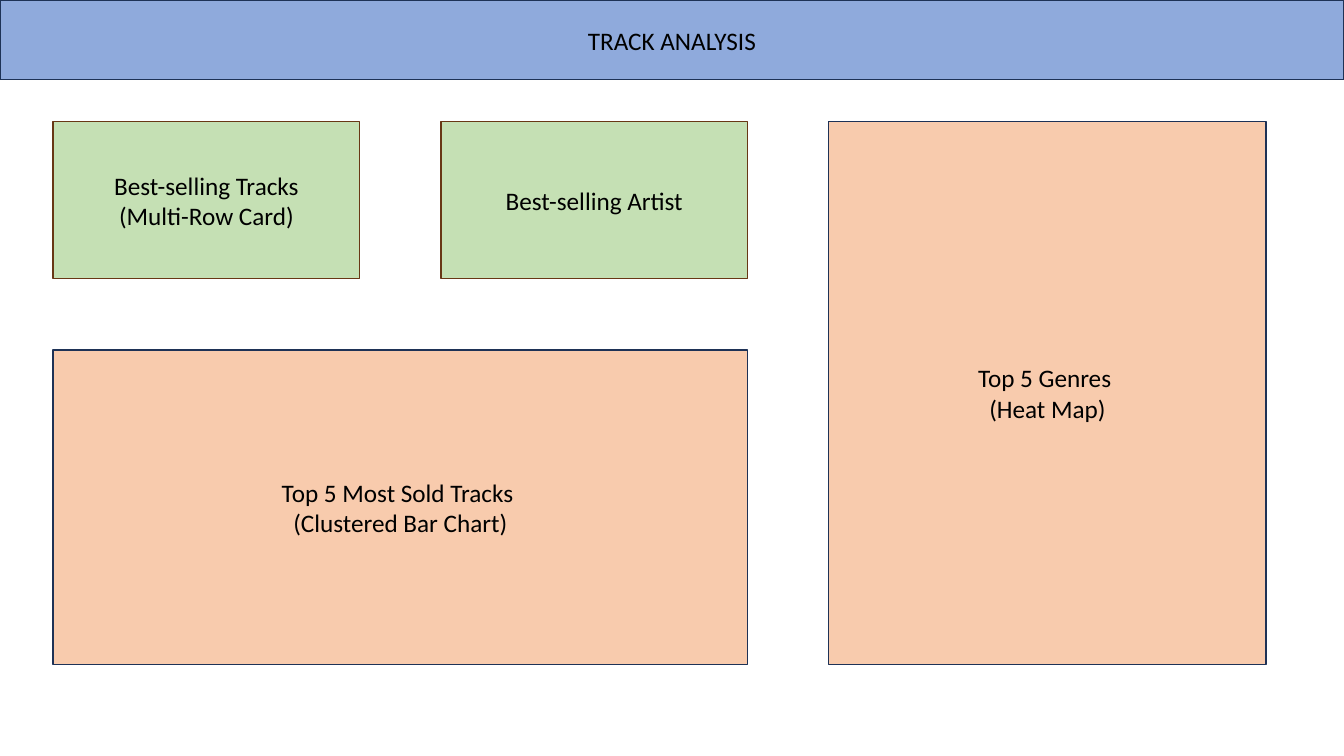
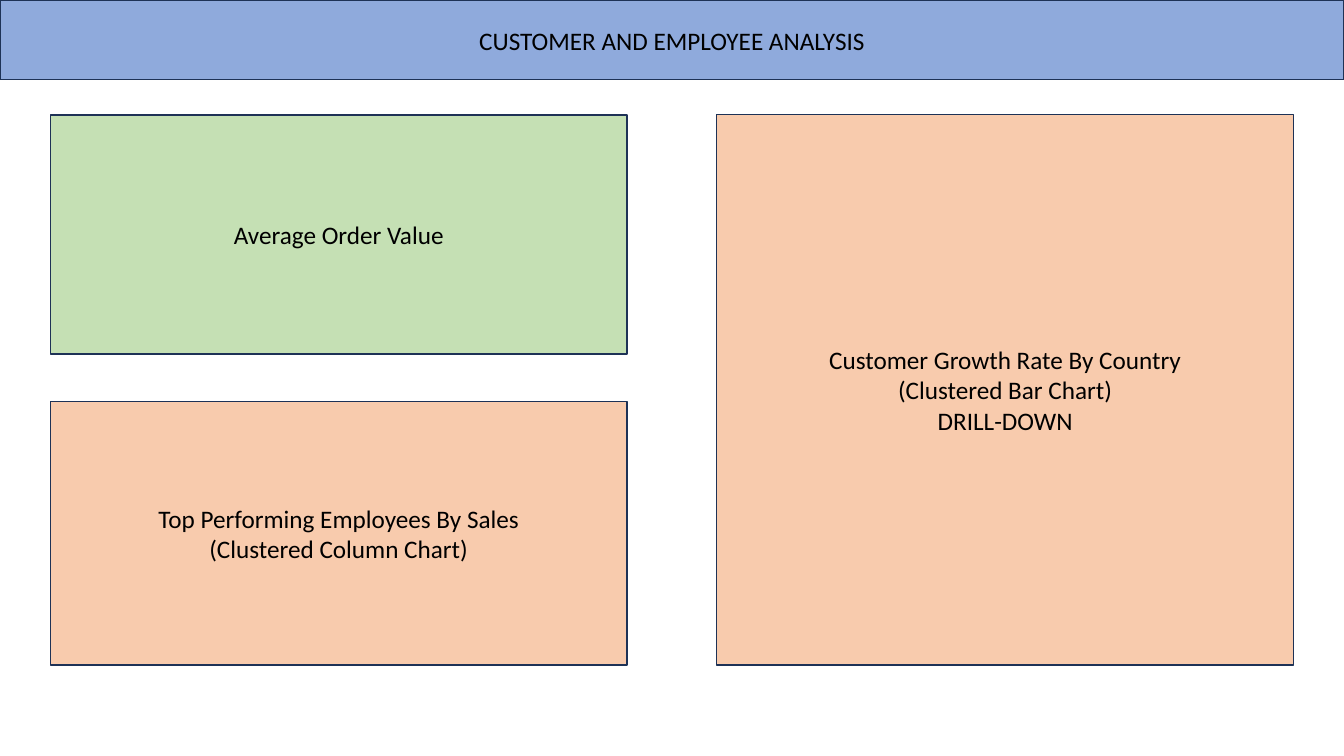
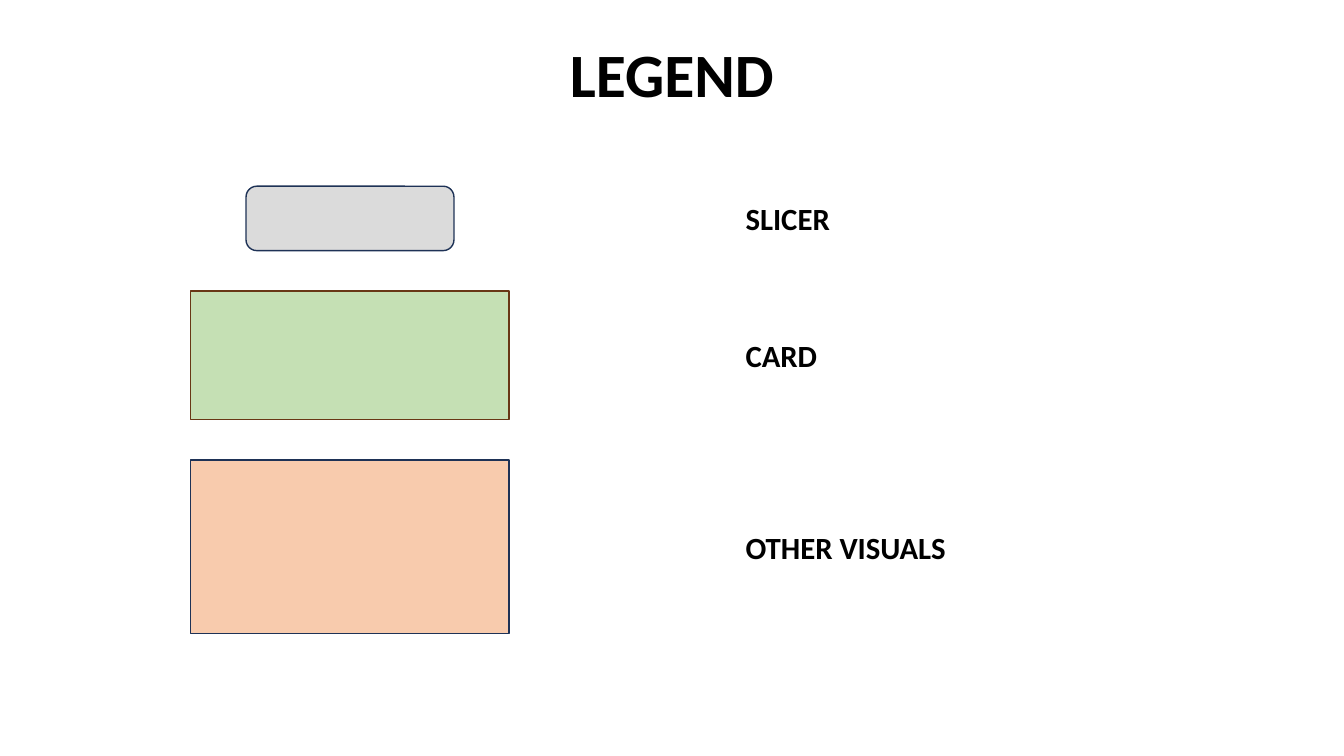
import pptx
import pptx.dml.color
import pptx.enum.shapes
import pptx.enum.text
import pptx.util

Pt = pptx.util.Pt
Shapes = pptx.enum.shapes.MSO_SHAPE
Align = pptx.enum.text.PP_ALIGN
Anchor = pptx.enum.text.MSO_ANCHOR

WIDTH, HEIGHT = 960, 540
FONT = "Calibri"
BLACK, NAVY, BROWN = "000000", "1E3256", "683715"
BAND, CARD, VISUAL, SLICER = "8FAADC", "C5E0B4", "F8CBAD", "DBDBDB"


def color(value):
    """Turn a hex string into a colour."""
    return pptx.dml.color.RGBColor.from_string(value)


class Deck:
    """Holds the presentation, its style and the current slide."""

    def __init__(self):
        """Start an empty widescreen presentation."""
        self.presentation = pptx.Presentation()
        self.presentation.slide_width = Pt(WIDTH)
        self.presentation.slide_height = Pt(HEIGHT)
        self.slide = None

    def add_slide(self):
        """Add a blank slide and make it current."""
        self.slide = self.presentation.slides.add_slide(self.presentation.slide_layouts[6])

    def fill_text(self, frame, lines, size, bold=False, align=Align.CENTER):
        """Set one paragraph per line, centred vertically."""
        frame.word_wrap = True
        frame.vertical_anchor = Anchor.MIDDLE
        for index, line in enumerate(lines):
            paragraph = frame.add_paragraph() if index else frame.paragraphs[0]
            paragraph.text = line
            paragraph.alignment = align
            paragraph.font.name = FONT
            paragraph.font.size = Pt(size)
            paragraph.font.bold = bold
            paragraph.font.color.rgb = color(BLACK)

    def box(self, left, top, width, height, fill, lines=(), outline=NAVY, kind=Shapes.RECTANGLE):
        """Draw a filled, outlined box with optional text."""
        shape = self.slide.shapes.add_shape(kind, Pt(left), Pt(top), Pt(width), Pt(height))
        shape.shadow.inherit = False
        shape.fill.solid()
        shape.fill.fore_color.rgb = color(fill)
        shape.line.color.rgb = color(outline)
        shape.line.width = Pt(1)
        self.fill_text(shape.text_frame, lines, 18)

    def band(self, title):
        """Draw the title band across the top."""
        self.box(0, 0, WIDTH, 57, BAND, [title])

    def text(self, left, top, width, height, words, size, align=Align.LEFT):
        """Place a bold line of text."""
        shape = self.slide.shapes.add_textbox(Pt(left), Pt(top), Pt(width), Pt(height))
        self.fill_text(shape.text_frame, [words], size, True, align)


def track_slide(deck):
    """Build the track dashboard."""
    deck.add_slide()
    deck.band("TRACK ANALYSIS")
    left, top, bottom = 38, 87, 474.5
    card_width, card_height, gap = 219, 112, 58
    chart_top = 250
    chart_width = 2 * card_width + gap
    deck.box(left, chart_top, chart_width, bottom - chart_top, VISUAL,
             ["Top 5 Most Sold Tracks ", "(Clustered Bar Chart)"])
    cards = [["Best-selling Tracks", "(Multi-Row Card)"], ["Best-selling Artist"]]
    for index, lines in enumerate(cards):
        deck.box(left + index * (card_width + gap), top, card_width, card_height, CARD, lines, BROWN)
    deck.box(left + chart_width + gap, top, 312.5, bottom - top, VISUAL,
             ["Top 5 Genres ", "(Heat Map)"])


def customer_slide(deck):
    """Build the customer and employee dashboard."""
    deck.add_slide()
    deck.band("CUSTOMER AND EMPLOYEE ANALYSIS")
    left, top, bottom = 36, 82, 475
    width = 412
    employees_top = 287
    deck.box(left, top, width, 171, CARD, ["Average Order Value"])
    deck.box(WIDTH - left - width, top, width, bottom - top, VISUAL,
             ["Customer Growth Rate By Country", "(Clustered Bar Chart)", "DRILL-DOWN"])
    deck.box(left, employees_top, width, bottom - employees_top, VISUAL,
             ["Top Performing Employees By Sales", "(Clustered Column Chart)"])


def legend_slide(deck):
    """Build the legend of box types."""
    deck.add_slide()
    deck.text(66, 0, WIDTH - 2 * 66, 104.5, "LEGEND", 44, Align.CENTER)
    entries = [
        ("SLICER", 148.5, 46, SLICER, NAVY, Shapes.ROUNDED_RECTANGLE),
        ("CARD", 227.5, 92, CARD, BROWN, Shapes.RECTANGLE),
        ("OTHER VISUALS", 227.5, 124, VISUAL, NAVY, Shapes.RECTANGLE),
    ]
    center, top, gap, label_height = 250, 133, 28.75, 34
    for label, width, height, fill, outline, kind in entries:
        deck.box(center - width / 2, top, width, height, fill, outline=outline, kind=kind)
        deck.text(525.5, top + (height - label_height) / 2, 304, label_height, label, 22)
        top += height + gap


def main():
    """Build and save the deck."""
    deck = Deck()
    track_slide(deck)
    customer_slide(deck)
    legend_slide(deck)
    deck.presentation.save("out.pptx")


if __name__ == "__main__":
    main()
